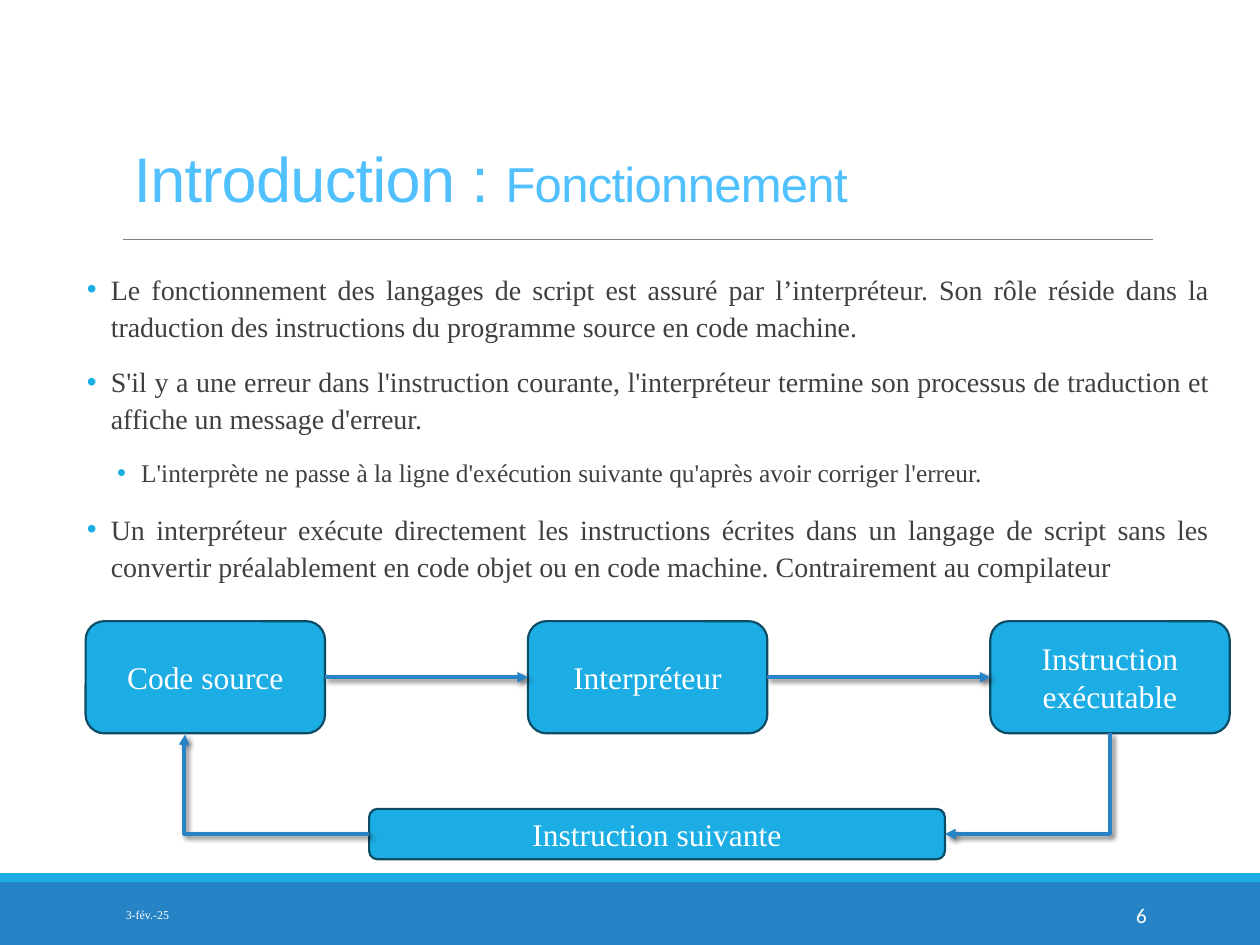
from lxml.etree import SubElement as Sub
from pptx import Presentation
from pptx.dml.color import RGBColor as Rgb
from pptx.enum.shapes import MSO_CONNECTOR as Link, MSO_SHAPE as Form
from pptx.enum.text import MSO_ANCHOR as Anchor, MSO_AUTO_SIZE as Fit, PP_ALIGN as Align
from pptx.oxml.ns import qn
from pptx.util import Emu, Inches, Pt

HEX = {"sky": "1CADE4", "blue": "2683C6", "edge": "0C4C64", "title": "50C0FF",
       "text": "404040", "rule": "808080", "white": "FFFFFF", "black": "000000"}
SERIF = "Times New Roman"

POINTS = [
    (0, "Le fonctionnement des langages de script est assuré par l’interpréteur. Son rôle réside "
        "dans la traduction des instructions du programme source en code machine."),
    (0, "S'il y a une erreur dans l'instruction courante, l'interpréteur termine son processus de "
        "traduction et affiche un message d'erreur."),
    (1, "L'interprète ne passe à la ligne d'exécution suivante qu'après avoir corriger l'erreur."),
    (0, "Un interpréteur exécute directement les instructions écrites dans un langage de script "
        "sans les convertir préalablement en code objet ou en code machine. "
        "Contrairement au compilateur"),
]
# Per list level: text size, left margin, space after
LEVELS = [(16, 0.2, 1.5), (14.5, 0.44, 3)]


def tint(name):
    return Rgb.from_string(HEX[name])


def put(item, **fmt):
    for key, value in fmt.items():
        setattr(item, key, value)


def place(shape, box):
    names = ("left", "top", "width", "height")
    put(shape, **dict(zip(names, map(Inches, box))))


def write(par, text, size, face, color):
    run = par.add_run()
    run.text = text
    put(run.font, size=Pt(size), name=face)
    run.font.color.rgb = tint(color)
    return run


def block(slide, form, box, fill, edge=None):
    shape = slide.shapes.add_shape(form, *map(Inches, box))
    shape.shadow.inherit = False
    shape.fill.solid()
    shape.fill.fore_color.rgb = tint(fill)
    if edge:
        shape.line.color.rgb = tint(edge)
        shape.line.width = Pt(1.25)
    else:
        shape.line.fill.background()
    return shape


def stroke(line, color, width):
    line.line.color.rgb = tint(color)
    line.line.width = Pt(width)
    return Sub(line._element.spPr, qn("a:effectLst"))


def head(slide, box, parts):
    title = slide.shapes.title
    place(title, box)
    frame = title.text_frame
    put(frame, vertical_anchor=Anchor.BOTTOM, auto_size=Fit.NONE, word_wrap=True)
    par = frame.paragraphs[0]
    put(par, alignment=Align.LEFT, line_spacing=0.85)
    for text, size in parts:
        run = write(par, text, size, "Arial", "title")
        run.font._element.set("spc", "-40")
    # Rule under the title
    rule = slide.shapes.add_connector(
        Link.STRAIGHT, Inches(0.98), Inches(1.9), Inches(9.15), Inches(1.9))
    stroke(rule, "rule", 0.5)


def bullet(par, left):
    props = par._p.get_or_add_pPr()
    put(par, level=par.level)
    props.set("marL", str(Inches(left)))
    props.set("indent", str(Inches(-0.19)))
    Sub(Sub(props, qn("a:buClr")), qn("a:srgbClr"), val=HEX["sky"])
    Sub(props, qn("a:buFont"), typeface="Arial")
    Sub(props, qn("a:buChar"), char="•")
    Sub(Sub(props, qn("a:tabLst")), qn("a:tab"), pos=str(Inches(0.2)), algn="l")


def body(slide, box, points):
    hold = slide.placeholders[1]
    place(hold, box)
    frame = hold.text_frame
    put(frame, margin_left=0, margin_right=0, margin_top=Inches(0.05),
        margin_bottom=Inches(0.05), auto_size=Fit.NONE, word_wrap=True,
        vertical_anchor=Anchor.TOP)
    for num, (level, text) in enumerate(points):
        par = frame.add_paragraph() if num else frame.paragraphs[0]
        size, left, after = LEVELS[level]
        par.level = level
        bullet(par, left)
        put(par, alignment=Align.JUSTIFY, line_spacing=1.11,
            space_before=Pt(8.9 if num else 0), space_after=Pt(after))
        write(par, text, size, SERIF, "text")


def foot(slide, box):
    left, top, width, height = box
    block(slide, Form.RECTANGLE, box, "blue")
    block(slide, Form.RECTANGLE, (left, top - 0.07, width, 0.07), "sky")
    notes = [("3-fév.-25", 0.9, 2.03, 6.8, SERIF, Align.LEFT),
             ("6", 8.12, 1.08, 12, "Calibri", Align.RIGHT)]
    for text, shift, wide, size, face, side in notes:
        area = (left + shift, top + 0.06, wide, height - 0.1)
        note = slide.shapes.add_textbox(*map(Inches, area))
        put(note.text_frame, word_wrap=True, vertical_anchor=Anchor.MIDDLE)
        par = note.text_frame.paragraphs[0]
        par.alignment = side
        write(par, text, size, face, "white")


def step(slide, text, box):
    shape = block(slide, Form.ROUNDED_RECTANGLE, box, "sky", "edge")
    put(shape.text_frame, word_wrap=True, vertical_anchor=Anchor.MIDDLE)
    par = shape.text_frame.paragraphs[0]
    par.alignment = Align.CENTER
    write(par, text, 18, SERIF, "white")
    return shape


def arrow(slide, kind, start, end=None, goal=(0, 0)):
    link = slide.shapes.add_connector(kind, 0, 0, *map(Inches, goal))
    link.begin_connect(*start)
    if end:
        link.end_connect(*end)
    effect = stroke(link, "blue", 2)
    Sub(link.line._get_or_add_ln(), qn("a:tailEnd"), type="triangle")
    cast = Sub(effect, qn("a:outerShdw"), blurRad=str(Pt(3)), dist=str(Pt(2)),
               dir=str(45 * 60000), algn="tl", rotWithShape="0")
    Sub(Sub(cast, qn("a:srgbClr"), val=HEX["black"]), qn("a:alpha"), val="60000")
    return link


def turn(link):
    """Make the elbow run down first, then left."""
    wide, high = link.width, link.height
    mid_x, mid_y = link.left + wide // 2, link.top + high // 2
    put(link, left=Emu(mid_x - high // 2), top=Emu(mid_y - wide // 2),
        width=high, height=wide)
    props = link._element.spPr
    frame = props.find(qn("a:xfrm"))
    frame.attrib.pop("flipH", None)
    frame.set("rot", str(90 * 60000))
    props.find(qn("a:prstGeom")).set("prst", "bentConnector2")


def flow(slide, box):
    left, top, width, height = box
    wide, high = 1.9, 0.89
    # Boxes
    names = [("Code source", 0), ("Interpréteur", 3.51),
             ("Instruction exécutable", width - wide)]
    code, tool, out = [step(slide, text, (left + shift, top, wide, high))
                       for text, shift in names]
    after = step(slide, "Instruction suivante",
                 (left + 2.25, top + height - 0.4, 4.57, 0.4))
    # Arrows
    for one, two in ((code, tool), (tool, out)):
        arrow(slide, Link.STRAIGHT, (one, 3), (two, 1))
    turn(arrow(slide, Link.ELBOW, (out, 2), (after, 3)))
    back = arrow(slide, Link.ELBOW, (after, 1), goal=(left + 0.79, top + high + 0.01))
    shape = back._element.spPr.find(qn("a:prstGeom"))
    guides = shape.find(qn("a:avLst"))
    if guides is None:
        guides = Sub(shape, qn("a:avLst"))
    Sub(guides, qn("a:gd"), name="adj1", fmla="val 100500")


def main():
    deck = Presentation()
    put(deck, slide_width=Inches(10), slide_height=Inches(7.5))
    slide = deck.slides.add_slide(deck.slide_layouts[1])
    foot(slide, (0, 7, 10, 0.5))
    head(slide, (0.96, 0.68, 7.84, 1.08), [("Introduction : ", 36), ("Fonctionnement", 28)])
    body(slide, (0.68, 2.08, 8.92, 2.71), POINTS)
    flow(slide, (0.68, 4.93, 9.08, 1.89))
    deck.save("out.pptx")


if __name__ == "__main__":
    main()
